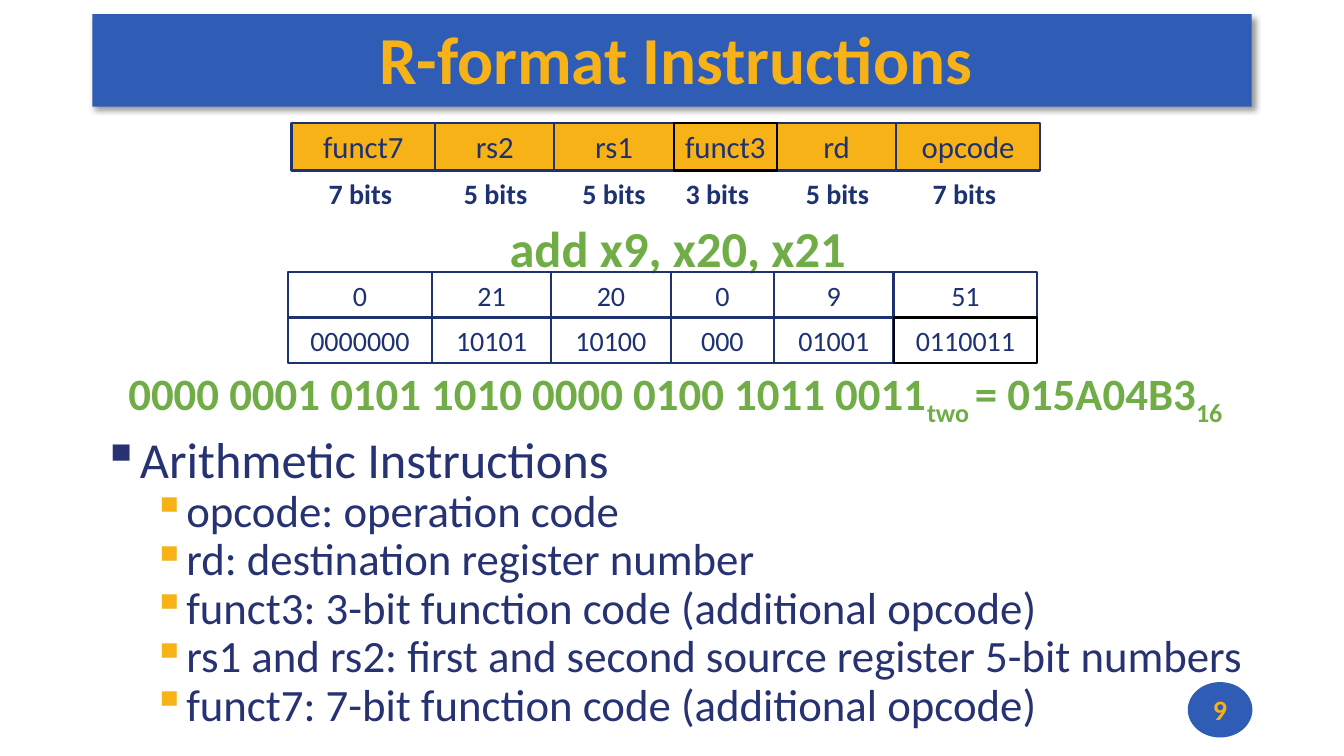
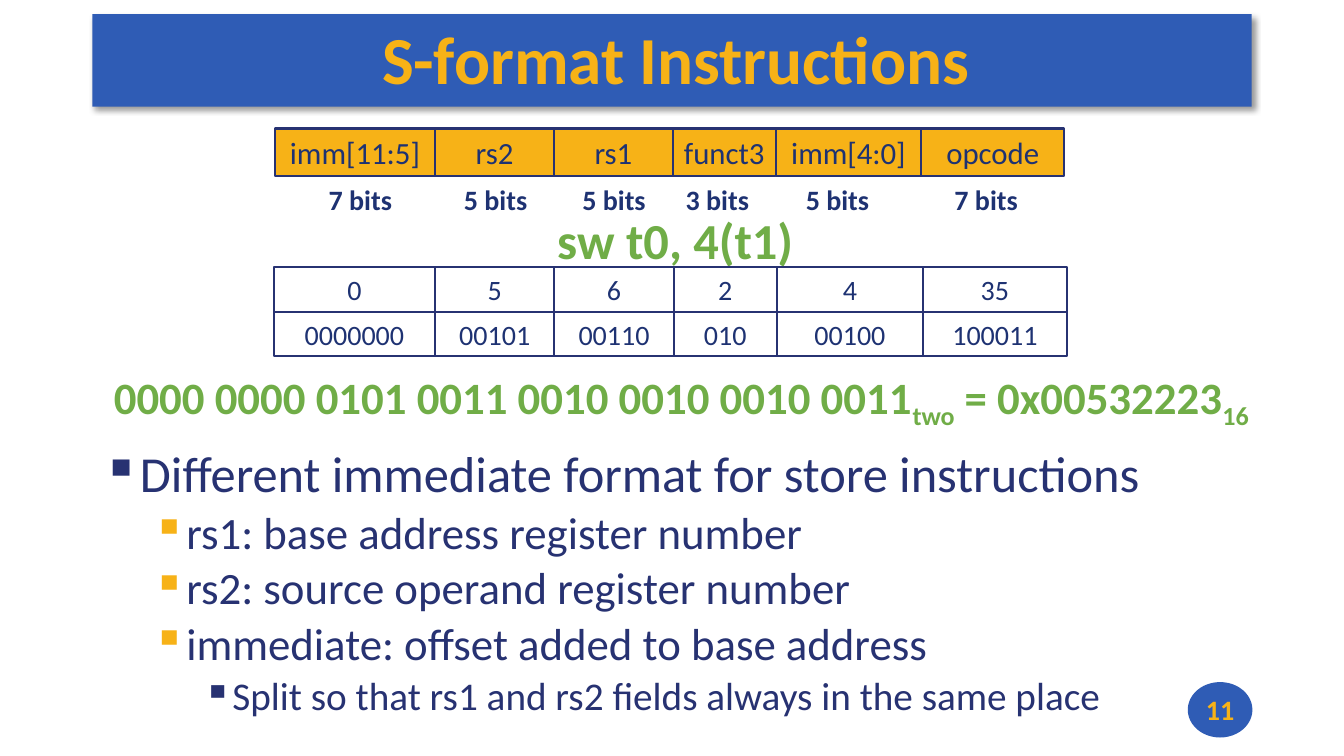
from itertools import accumulate

from lxml import etree
from pptx import Presentation
from pptx.dml.color import RGBColor
from pptx.enum.shapes import MSO_SHAPE
from pptx.enum.text import MSO_ANCHOR, PP_ALIGN
from pptx.oxml.ns import qn
from pptx.util import Inches, Pt

RECT, OVAL = MSO_SHAPE.RECTANGLE, MSO_SHAPE.OVAL
TOP, MIDDLE = MSO_ANCHOR.TOP, MSO_ANCHOR.MIDDLE
LEFT, CENTER = PP_ALIGN.LEFT, PP_ALIGN.CENTER
WIDTH, HEIGHT = Inches(13.33), Inches(7.5)
COLS, ROWS = 160, 90

COLORS = {"blue": "2F5CB5", "gold": "F7B217", "navy": "1E3272",
          "ink": "273272", "green": "70AD47", "black": "000000"}
STYLES = {
    "title": {"size": 48, "bold": True, "color": "gold"},
    "page": {"size": 20, "bold": True, "color": "gold"},
    "field": {"size": 22, "bold": False, "color": "navy"},
    "value": {"size": 20, "bold": False, "color": "navy"},
    "bits": {"size": 20, "bold": True, "color": "navy"},
    "code": {"size": 36, "bold": True, "color": "green"},
    "word": {"size": 32, "bold": True, "color": "green"},
}
LEVELS = [(36, "ink"), (32, "gold"), (28, "ink")]
BITS = [7, 5, 5, 3, 5, 7]
STOPS = [0, 16.1, 30.2, 42.5, 56.8]

BAND = (11, 1.7, 138, 11)
TITLE = (11, 1.4, 138, 11)
BADGE = (141.4, 81.2, 7.7, 6.6)


def rgb(name):
    return RGBColor.from_string(COLORS[name])


def place(box):
    x, y, w, h = box
    return [int(v) for v in (x * WIDTH / COLS, y * HEIGHT / ROWS,
                             w * WIDTH / COLS, h * HEIGHT / ROWS)]


def style(run, size, bold, color):
    values = {"name": "Calibri", "size": Pt(size), "bold": bold}
    for key, value in values.items():
        setattr(run.font, key, value)
    run.font.color.rgb = rgb(color)


def frame(shape, anchor=MIDDLE, pads=(0.1, 0.05, 0.1, 0.05)):
    text = shape.text_frame
    values = {"word_wrap": True, "vertical_anchor": anchor}
    for side, pad in zip(("left", "top", "right", "bottom"), pads):
        values["margin_" + side] = Inches(pad)
    for key, value in values.items():
        setattr(text, key, value)
    return text


def write(text, words, look, align=CENTER):
    par = text.paragraphs[0]
    par.alignment = align
    run = par.add_run()
    run.text = words
    style(run, **STYLES[look])
    return run


def label(slide, box, words, look, **opts):
    text = frame(slide.shapes.add_textbox(*place(box)), **opts)
    write(text, words, look)
    return text


def block(slide, kind, box, fill=None, line=None):
    shape = slide.shapes.add_shape(kind, *place(box))
    shape.shadow.inherit = False
    if fill:
        shape.fill.solid()
        shape.fill.fore_color.rgb = rgb(fill)
    else:
        shape.fill.background()
    if line:
        shape.line.color.rgb = rgb(line)
        shape.line.width = Pt(1.5)
    else:
        shape.line.fill.background()
    return shape


def shade(shape):
    effects = shape._element.spPr.find(qn("a:effectLst"))
    outer = etree.SubElement(effects, qn("a:outerShdw"), blurRad=str(Pt(4)),
                             dist=str(Pt(3)), dir="2700000", algn="tl", rotWithShape="0")
    color = etree.SubElement(outer, qn("a:srgbClr"), val=COLORS["black"])
    etree.SubElement(color, qn("a:alpha"), val="40000")


def base(deck, title, page):
    slide = deck.slides.add_slide(deck.slide_layouts[6])
    shade(block(slide, RECT, BAND, "blue"))
    label(slide, TITLE, title, "title", pads=(0.08, 0.03, 0, 0.03))
    badge = block(slide, OVAL, BADGE, "blue")
    write(frame(badge, pads=(0, 0, 0, 0)), page, "page")
    return slide


def strip(slide, box, sizes, words, look, line, fill=None, mark=None):
    x, y, w, h = box
    total = sum(sizes)
    starts = list(accumulate(sizes, initial=0))
    for i in sorted(range(len(words)), key=lambda n: n == mark):
        cell = (x + w * starts[i] / total, y, w * sizes[i] / total, h)
        shape = block(slide, RECT, cell, fill, "black" if i == mark else line)
        write(frame(shape, pads=(0, 0, 0, 0)), words[i], look)


def counts(slide, box):
    x, y, w, h = box
    for stop, bits in zip(STOPS + [w], BITS):
        label(slide, (x + stop - 6, y, 12, h), f"{bits} bits", "bits", anchor=TOP)


def table(slide, box, sizes, rows, line, mark):
    x, y, w, h = box
    step = h / len(rows)
    for i, words in enumerate(rows):
        last = mark if i == len(rows) - 1 else None
        strip(slide, (x, y + i * step, w, step), sizes, words, "value", line, mark=last)


def word(slide, box, parts):
    text = frame(slide.shapes.add_textbox(*place(box)), TOP)
    for i, part in enumerate(parts):
        run = write(text, part, "word")
        if i % 2:
            run._r.get_or_add_rPr().set("baseline", "-25000")


def bullet(par, level, color):
    props = par._p.get_or_add_pPr()
    props.set("marL", str(Inches(0.25 + 0.5 * level)))
    props.set("indent", str(-Inches(0.25)))
    tint = etree.SubElement(props, qn("a:buClr"))
    etree.SubElement(tint, qn("a:srgbClr"), val=COLORS[color])
    etree.SubElement(props, qn("a:buChar"), char="▪")


def points(slide, box, items, lead, gap):
    text = frame(slide.shapes.add_textbox(*place(box)), TOP)
    for i, (level, words) in enumerate(items):
        par = text.add_paragraph() if i else text.paragraphs[0]
        size, color = LEVELS[level]
        bullet(par, level, color)
        values = {"level": level, "alignment": LEFT,
                  "line_spacing": 0.9 if i else lead,
                  "space_before": Pt(gap if i else 0)}
        for key, value in values.items():
            setattr(par, key, value)
        run = par.add_run()
        run.text = words
        style(run, size, False, "ink")


def layout(deck, data):
    slide = base(deck, data["title"], data["page"])
    sizes, line, marks = data["sizes"], data["line"], data["marks"]
    strip(slide, data["head"], sizes, data["fields"], "field", line, "gold", marks[0])
    counts(slide, data["bits"])
    label(slide, data["spot"], data["code"], "code")
    table(slide, data["grid"], sizes, data["rows"], line, marks[1])
    word(slide, data["strap"], data["word"])
    points(slide, data["body"], data["items"], data["lead"], data["gap"])


SLIDES = [
    {
        "title": "R-format Instructions", "page": "9",
        "sizes": [17.1, 14.2, 14.2, 12.3, 14.2, 17.1],
        "line": "navy", "marks": (3, 5),
        "head": (34.7, 14.6, 89.1, 5.7),
        "fields": ["funct7", "rs2", "rs1", "funct3", "rd", "opcode"],
        "bits": (42.9, 20.4, 71.9, 5.3),
        "spot": (44.7, 25.2, 72, 8.5), "code": "add x9, x20, x21",
        "grid": (34.3, 32.4, 89.2, 10.8),
        "rows": [["0", "21", "20", "0", "9", "51"],
                 ["0000000", "10101", "10100", "000", "01001", "0110011"]],
        "strap": (11.6, 43, 137.6, 7.5),
        "word": ["0000 0001 0101 1010 0000 0100 1011 0011", "two ",
                 "= 015A04B3", "16"],
        "body": (11, 50.4, 140.4, 39.4), "lead": 1.0, "gap": 0,
        "items": [(0, "Arithmetic Instructions"),
                  (1, "opcode: operation code"),
                  (1, "rd: destination register number"),
                  (1, "funct3: 3-bit function code (additional opcode)"),
                  (1, "rs1 and rs2: first and second source register 5-bit numbers"),
                  (1, "funct7: 7-bit function code (additional opcode)")],
    },
    {
        "title": "S-format Instructions", "page": "11",
        "sizes": [19.2, 14.2, 14.2, 12.3, 17.4, 17.1],
        "line": "ink", "marks": (None, None),
        "head": (32.7, 15.3, 94, 5.7),
        "fields": ["imm[11:5]", "rs2", "rs1", "funct3", "imm[4:0]", "opcode"],
        "bits": (42.9, 21.1, 74.5, 5.3),
        "spot": (44.4, 24.2, 72, 8.5), "code": "sw t0, 4(t1)",
        "grid": (32.6, 31.8, 94.4, 10.6),
        "rows": [["0", "5", "6", "2", "4", "35"],
                 ["0000000", "00101", "00110", "010", "00100", "100011"]],
        "strap": (10.7, 43.4, 140.8, 7.7),
        "word": ["0000 0000 0101 0011 0010 0010 0010 0011", "two",
                 " = 0x00532223", "16"],
        "body": (11, 52.9, 138, 34.3), "lead": 0.9, "gap": 5,
        "items": [(0, "Different immediate format for store instructions"),
                  (1, "rs1: base address register number"),
                  (1, "rs2: source operand register number"),
                  (1, "immediate: offset added to base address"),
                  (2, "Split so that rs1 and rs2 fields always in the same place")],
    },
]


def main():
    deck = Presentation()
    deck.slide_width, deck.slide_height = WIDTH, HEIGHT
    for data in SLIDES:
        layout(deck, data)
    deck.save("out.pptx")


if __name__ == "__main__":
    main()
